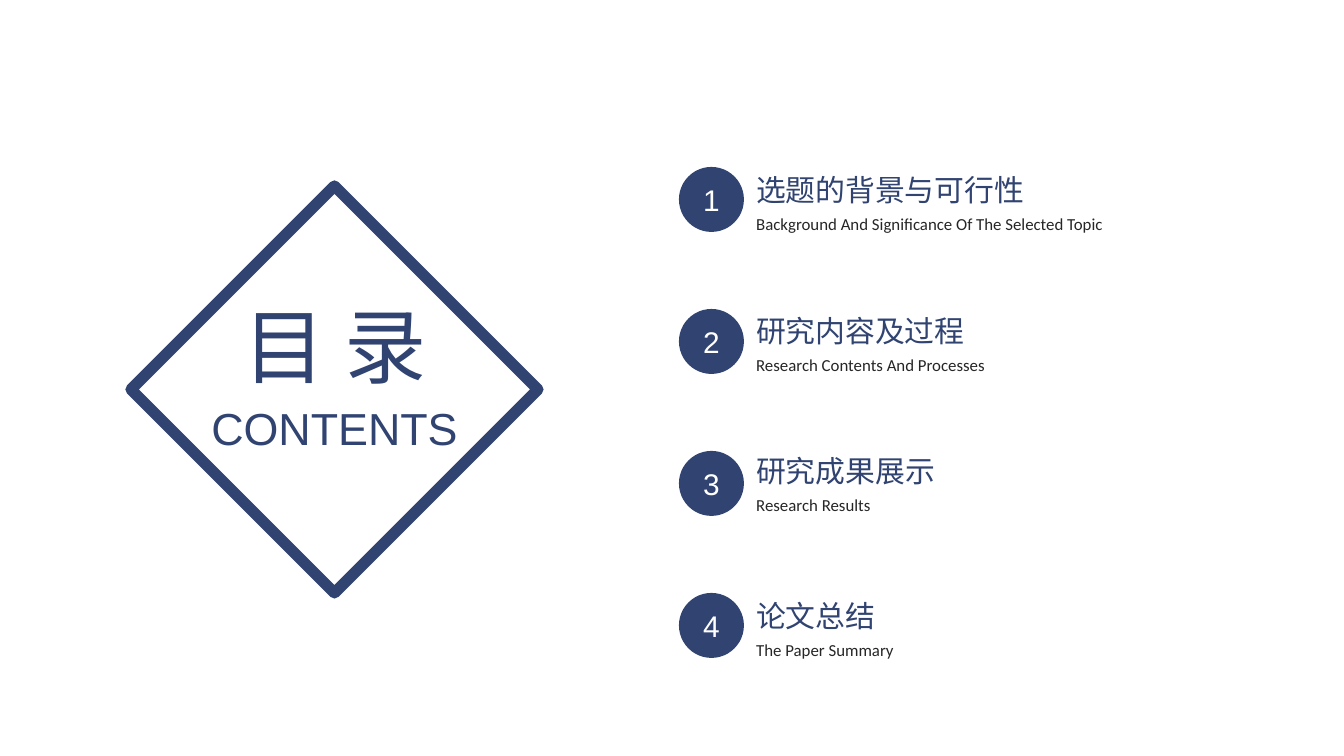
from pptx import Presentation
from pptx.dml.color import RGBColor
from pptx.enum.shapes import MSO_SHAPE as Shape
from pptx.enum.text import MSO_ANCHOR as Anchor, MSO_AUTO_SIZE as AutoSize, PP_ALIGN as Align
from pptx.oxml.ns import qn
from pptx.util import Pt

EMU_PER_PIXEL = 914400 / 134.4
COLORS = {"navy": "304371", "ink": "262626", "white": "FFFFFF"}
CHINESE, LATIN, CAPTION = "Noto Sans CJK SC", "Arial", "Calibri"

# Title top, title width, title, subtitle width, subtitle
CHAPTERS = [
    (165, 298, "选题的背景与可行性", 376, "Background And Significance Of The Selected Topic"),
    (306, 238, "研究内容及过程", 258, "Research Contents And Processes"),
    (446, 208, "研究成果展示", 146, "Research Results"),
    (591, 148, "论文总结", 165, "The Paper Summary"),
]
BADGE_LEFT, BADGE_TOP, BADGE_SIZE, BADGE_PITCH = 679, 167, 65, 142
TEXT_LEFT, SUBTITLE_OFFSET = 743, 42


def box(*pixels):
    """Turn pixel lengths into EMU."""
    return [round(pixel * EMU_PER_PIXEL) for pixel in pixels]


def color(name):
    """Look up a palette colour."""
    return RGBColor.from_string(COLORS[name])


def write(shape, text, size, font_name, color_name, align):
    """Put one styled paragraph into a shape."""
    paragraph = shape.text_frame.paragraphs[0]
    run = paragraph.add_run()
    run.text = text
    paragraph.alignment = align
    font = paragraph.font
    font.size, font.name = Pt(size), font_name
    font.color.rgb = color(color_name)
    if font_name == CHINESE:
        properties = run._r.get_or_add_rPr()
        properties.set("lang", "zh-CN")
        east_asian = properties.makeelement(qn("a:ea"), {"typeface": font_name})
        properties.append(east_asian)


def add_label(slide, place, text, size, font_name, color_name="navy", align=Align.LEFT):
    """Add a single-line text box."""
    label = slide.shapes.add_textbox(*box(*place))
    label.text_frame.word_wrap = False
    label.text_frame.auto_size = AutoSize.SHAPE_TO_FIT_TEXT
    write(label, text, size, font_name, color_name, align)


def add_badge(slide, top, number):
    """Add a filled circle holding a chapter number."""
    badge = slide.shapes.add_shape(
        Shape.OVAL, *box(BADGE_LEFT, top, BADGE_SIZE, BADGE_SIZE))
    badge.shadow.inherit = False
    badge.fill.solid()
    badge.fill.fore_color.rgb = color("navy")
    badge.line.fill.background()
    badge.text_frame.vertical_anchor = Anchor.MIDDLE
    badge.text_frame.word_wrap = False
    write(badge, str(number), 16, LATIN, "white", Align.CENTER)


def add_diamond(slide, place):
    """Add the outlined diamond around the heading."""
    diamond = slide.shapes.add_shape(Shape.DIAMOND, *box(*place))
    diamond.shadow.inherit = False
    diamond.fill.background()
    diamond.line.color.rgb = color("navy")
    diamond.line.width = Pt(6)


def add_chapter(slide, index, top, title_width, title, subtitle_width, subtitle):
    """Add one chapter: badge, title and subtitle."""
    add_badge(slide, BADGE_TOP + index * BADGE_PITCH, index + 1)
    add_label(slide, (TEXT_LEFT, top, title_width, 50), title, 16, CHINESE)
    add_label(slide, (TEXT_LEFT, top + SUBTITLE_OFFSET, subtitle_width, 34),
              subtitle, 9, CAPTION, "ink")


def main():
    """Build the contents slide."""
    presentation = Presentation()
    presentation.slide_width, presentation.slide_height = box(1344, 756)
    slide = presentation.slides.add_slide(presentation.slide_layouts[6])
    add_diamond(slide, (131, 186, 407, 407))
    add_label(slide, (226, 289, 218, 113), "目 录", 44, CHINESE, align=Align.CENTER)
    add_label(slide, (197, 394, 275, 67), "CONTENTS", 24, LATIN, align=Align.CENTER)
    for index, chapter in enumerate(CHAPTERS):
        add_chapter(slide, index, *chapter)
    presentation.save("out.pptx")


main()
